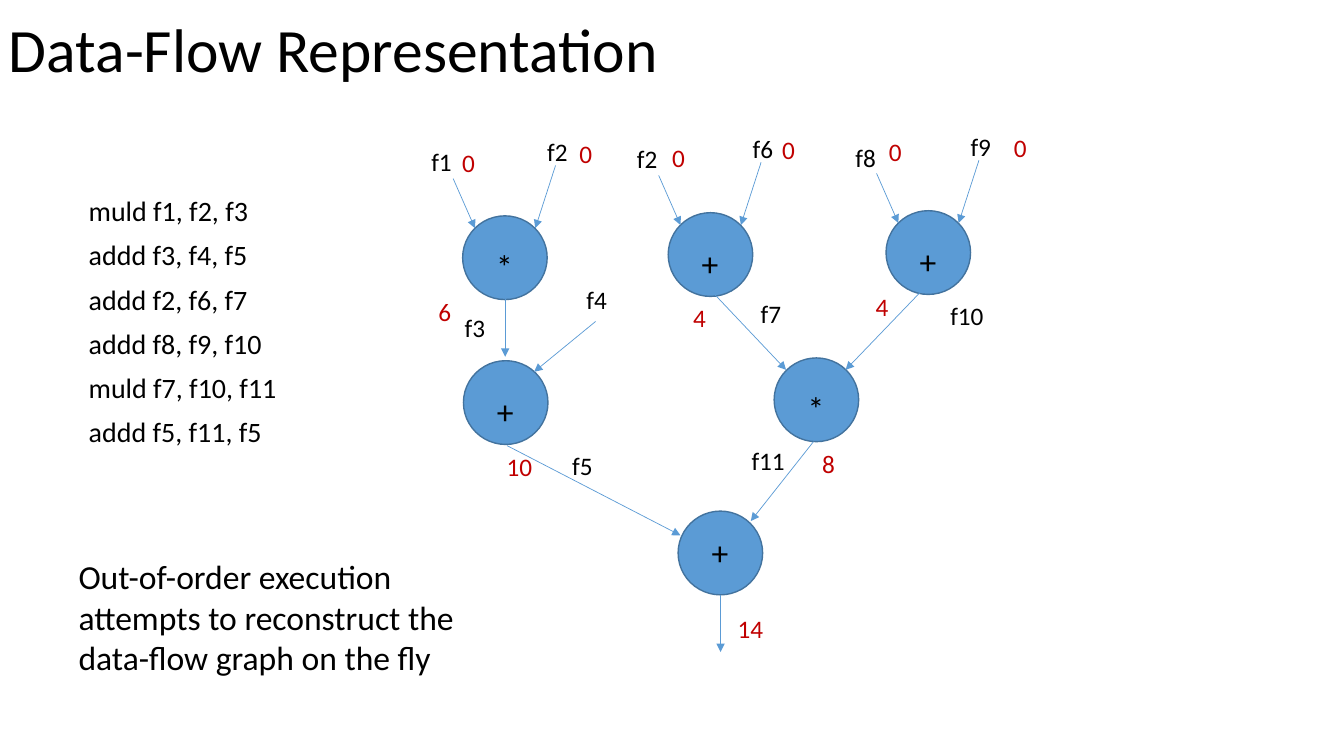
from typing import NamedTuple

import pptx
import pptx.dml.color
import pptx.enum.shapes
import pptx.enum.text
import pptx.oxml.ns
import pptx.util
from lxml import etree

Cm = pptx.util.Cm
Pt = pptx.util.Pt
AutoSize = pptx.enum.text.MSO_AUTO_SIZE

COLORS = {"text": "000000", "value": "C00000", "node": "5B9BD5", "outline": "43739E"}
FONT = "Calibri"
NODE_W, NODE_H = 2.13, 2.11
SYMBOL_W, SYMBOL_H = 0.94, 1.27


class Operation(NamedTuple):
    symbol: str
    x: float
    y: float
    symbol_drop: float = 0.64


class Edge(NamedTuple):
    x1: float
    y1: float
    x2: float
    y2: float


class Label(NamedTuple):
    text: str
    x: float
    y: float


INPUT_OPERATIONS = [
    Operation("*", 11.66, 5.44),
    Operation("+", 16.84, 5.36),
    Operation("+", 22.33, 5.31),
]
INNER_OPERATIONS = [
    Operation("+", 11.68, 9.09),
    Operation("*", 19.51, 9.02),
    Operation("+", 17.09, 12.88, 0.41),
]
# Operand arrows, relative to the corner of an input operation
OPERAND_EDGES = [Edge(-0.24, -0.94, 0.31, 0.31), Edge(2.34, -1.27, 1.83, 0.31)]
RESULT_EDGES = [
    Edge(12.73, 7.54, 12.73, 8.99),
    Edge(15.01, 8.1, 13.46, 9.37),
    Edge(17.86, 7.26, 19.81, 9.32),
    Edge(23.34, 7.21, 21.31, 9.32),
    Edge(20.5, 11.13, 18.92, 13.13),
    Edge(12.78, 11.23, 17.15, 13.49),
    Edge(18.16, 14.99, 18.16, 16.43),
]
REGISTERS = [
    Label("f1", 10.62, 3.56), Label("f2", 13.54, 3.3),
    Label("f2", 15.8, 3.48), Label("f6", 18.72, 3.23),
    Label("f8", 21.31, 3.45), Label("f9", 24.21, 3.18),
    Label("f3", 11.46, 7.75), Label("f4", 14.53, 7.04),
    Label("f7", 18.92, 7.39), Label("f10", 23.7, 7.44),
    Label("f5", 14.17, 11.23), Label("f11", 18.69, 11.1),
]
VALUES = [
    Label("0", 11.4, 3.58), Label("0", 14.35, 3.35),
    Label("0", 16.69, 3.45), Label("0", 19.46, 3.25),
    Label("0", 22.15, 3.3), Label("0", 25.3, 3.2),
    Label("6", 10.8, 7.34), Label("4", 17.22, 7.49),
    Label("4", 21.82, 7.21), Label("10", 12.52, 11.25),
    Label("8", 20.47, 11.18), Label("14", 18.34, 15.34),
]
INSTRUCTIONS = [
    "muld f1, f2, f3",
    "addd f3, f4, f5",
    "addd f2, f6, f7",
    "addd f8, f9, f10",
    "muld f7, f10, f11",
    "addd f5, f11, f5",
]


def rgb(name: str) -> pptx.dml.color.RGBColor:
    return pptx.dml.color.RGBColor.from_string(COLORS[name])


def add_run(paragraph, text: str, size: float, color: str = "text") -> None:
    paragraph.alignment = pptx.enum.text.PP_ALIGN.LEFT
    run = paragraph.add_run()
    run.text = text
    run.font.name = FONT
    run.font.size = Pt(size)
    run.font.color.rgb = rgb(color)


def place(shape, x: float, y: float, width: float, height: float) -> None:
    shape.left, shape.top = Cm(x), Cm(y)
    shape.width, shape.height = Cm(width), Cm(height)


def add_text(slide, text: str, x: float, y: float, width: float, height: float,
             size: float, color: str = "text", wrap: bool = False) -> None:
    frame = slide.shapes.add_textbox(Cm(x), Cm(y), Cm(width), Cm(height)).text_frame
    frame.word_wrap = wrap
    frame.auto_size = AutoSize.SHAPE_TO_FIT_TEXT
    add_run(frame.paragraphs[0], text, size, color)


def add_operation(slide, operation: Operation) -> None:
    node = slide.shapes.add_shape(
        pptx.enum.shapes.MSO_SHAPE.OVAL,
        Cm(operation.x), Cm(operation.y), Cm(NODE_W), Cm(NODE_H))
    node.shadow.inherit = False
    node.fill.solid()
    node.fill.fore_color.rgb = rgb("node")
    node.line.color.rgb = rgb("outline")
    node.line.width = Pt(1)
    add_text(slide, operation.symbol, operation.x + (NODE_W - SYMBOL_W) / 2,
             operation.y + operation.symbol_drop, SYMBOL_W, SYMBOL_H, 24)


def add_edge(slide, edge: Edge, x: float = 0, y: float = 0) -> None:
    arrow = slide.shapes.add_connector(
        pptx.enum.shapes.MSO_CONNECTOR.STRAIGHT,
        Cm(x + edge.x1), Cm(y + edge.y1), Cm(x + edge.x2), Cm(y + edge.y2))
    arrow.line.color.rgb = rgb("node")
    arrow.line.width = Pt(0.5)
    qn = pptx.oxml.ns.qn
    etree.SubElement(arrow.line._get_or_add_ln(), qn("a:tailEnd"), type="triangle")
    etree.SubElement(arrow._element.spPr, qn("a:effectLst"))


def add_label(slide, label: Label, color: str) -> None:
    digits = len(label.text.lstrip("f"))
    width = 0.51 + 0.33 * digits + (0.2 if label.text.startswith("f") else 0)
    add_text(slide, label.text, label.x, label.y, width, 1.02, 18, color)


def fill_title(title) -> None:
    place(title, -0.03, -0.51, 29.21, 3.68)
    title.text_frame.vertical_anchor = pptx.enum.text.MSO_ANCHOR.MIDDLE
    title.text_frame.auto_size = AutoSize.NONE
    heading = title.text_frame.paragraphs[0]
    heading.line_spacing = 0.9
    add_run(heading, "Data-Flow Representation", 44)


def fill_instructions(body) -> None:
    place(body, 1.98, 4.85, 29.21, 12.09)
    frame = body.text_frame
    frame.auto_size = AutoSize.NONE
    for index, instruction in enumerate(INSTRUCTIONS):
        line = frame.add_paragraph() if index else frame.paragraphs[0]
        line.line_spacing = 0.9
        line.space_before = Pt(10)
        add_run(line, instruction, 20)
        properties = line._p.get_or_add_pPr()
        properties.set("marL", "0")
        properties.set("indent", "0")
        etree.SubElement(properties, pptx.oxml.ns.qn("a:buNone"))


def main() -> None:
    deck = pptx.Presentation()
    deck.slide_width, deck.slide_height = Cm(33.87), Cm(19.05)
    slide = deck.slides.add_slide(deck.slide_layouts[1])

    # Title and program
    fill_title(slide.shapes.title)
    fill_instructions(slide.placeholders[1])

    # Data-flow graph
    for operation in INPUT_OPERATIONS + INNER_OPERATIONS:
        add_operation(slide, operation)
    for operation in INPUT_OPERATIONS:
        for edge in OPERAND_EDGES:
            add_edge(slide, edge, operation.x, operation.y)
    for edge in RESULT_EDGES:
        add_edge(slide, edge)

    # Register names and ready times
    for register in REGISTERS:
        add_label(slide, register, "text")
    for value in VALUES:
        add_label(slide, value, "value")

    # Conclusion
    add_text(slide, "Out-of-order execution attempts to reconstruct the "
             "data-flow graph on the fly", 1.73, 13.89, 10.36, 3.33, 24, wrap=True)
    deck.save("out.pptx")


if __name__ == "__main__":
    main()
